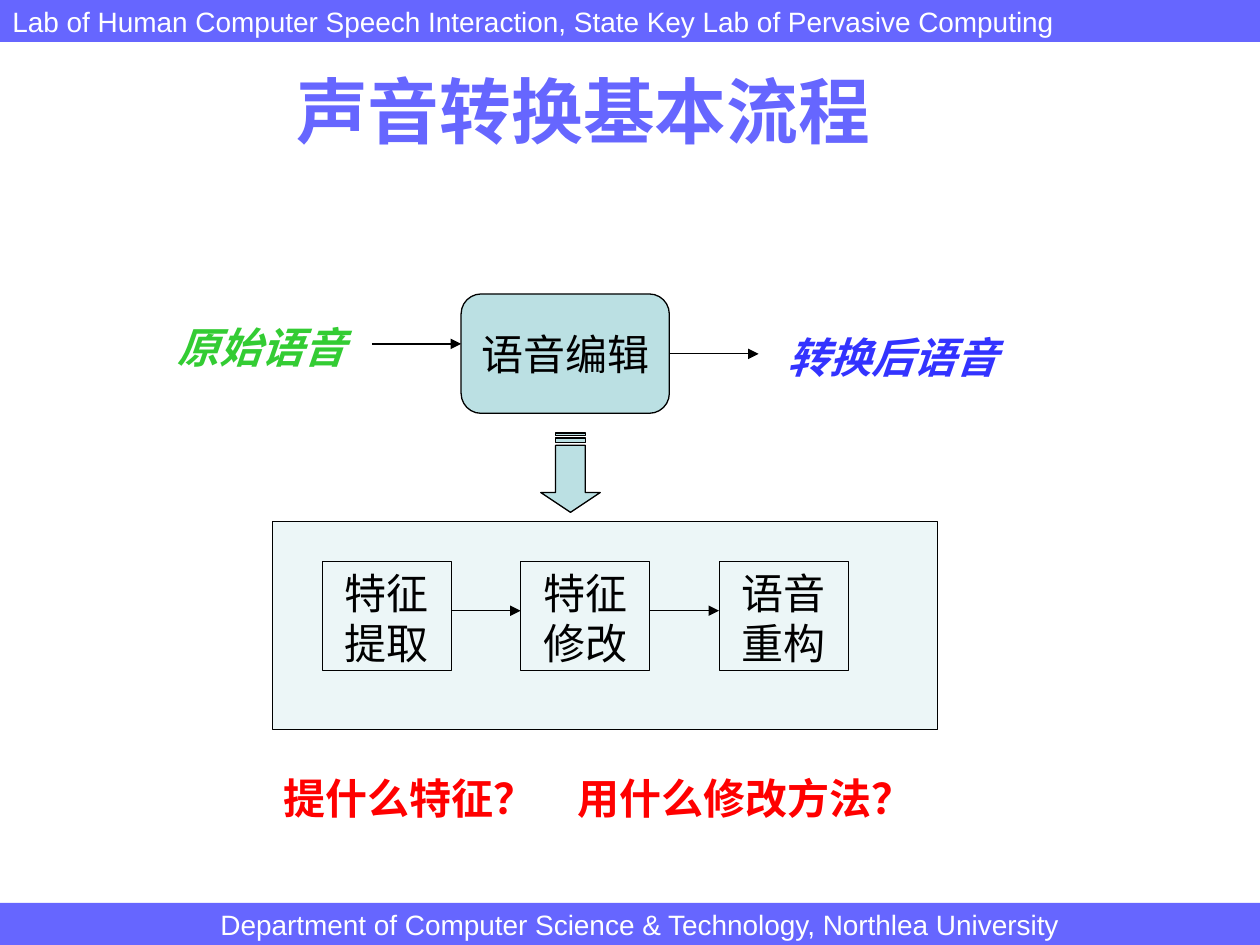
from lxml import etree
from pptx import Presentation
from pptx.dml.color import RGBColor
from pptx.enum.shapes import MSO_CONNECTOR, MSO_SHAPE
from pptx.enum.text import MSO_ANCHOR, MSO_AUTO_SIZE, PP_ALIGN
from pptx.oxml.ns import qn
from pptx.util import Pt

RECT, ROUNDED = MSO_SHAPE.RECTANGLE, MSO_SHAPE.ROUNDED_RECTANGLE
STRAIGHT = MSO_CONNECTOR.STRAIGHT
LEFT, CENTER = PP_ALIGN.LEFT, PP_ALIGN.CENTER
TOP, MIDDLE = MSO_ANCHOR.TOP, MSO_ANCHOR.MIDDLE
NO_FIT, GROW = MSO_AUTO_SIZE.NONE, MSO_AUTO_SIZE.SHAPE_TO_FIT_TEXT

COLORS = {
    "band": "6666FF", "white": "FFFFFF", "black": "000000", "teal": "BBE0E3",
    "source": "33CC33", "result": "3333FF", "question": "FF0000",
}
SLIDE_W, SLIDE_H, BAND_H = 720, 540, 24


def color(name):
    return RGBColor.from_string(COLORS[name])


def points(box):
    return [Pt(round(value, 2)) for value in box]


def write(shape, lines, size, tint, align=CENTER, anchor=TOP, font="Arial",
          bold=False, italic=False, before=0):
    frame = shape.text_frame
    frame.word_wrap = True
    frame.vertical_anchor = anchor
    for index, line in enumerate(lines):
        paragraph = frame.add_paragraph() if index else frame.paragraphs[0]
        paragraph.alignment = align
        paragraph.space_before = Pt(before)
        run = paragraph.add_run()
        run.text = line
        run.font.name = font
        run.font.size = Pt(size)
        run.font.bold = bold
        run.font.italic = italic
        run.font.color.rgb = color(tint)


def paint(shape, fill=None, line=None, width=0.75):
    shape.shadow.inherit = False
    if fill:
        shape.fill.solid()
        shape.fill.fore_color.rgb = color(fill)
    else:
        shape.fill.background()
    if line:
        shape.line.color.rgb = color(line)
        shape.line.width = Pt(width)
    else:
        shape.line.fill.background()


def add_arrow(shapes, x, y, length):
    arrow = shapes.add_connector(STRAIGHT, *points((x, y, x + length, y)))
    arrow.line.color.rgb = color("black")
    arrow.line.width = Pt(0.75)
    properties = arrow._element.spPr
    etree.SubElement(properties.find(qn("a:ln")), qn("a:tailEnd"), type="triangle")
    etree.SubElement(properties, qn("a:effectLst"))


def add_band(slide, box, text, indent):
    band = slide.shapes.add_shape(RECT, *points(box))
    paint(band, "band")
    band.text_frame.margin_left = Pt(indent)
    write(band, [text], 16, "white", LEFT, MIDDLE)


def add_title(slide, box, text):
    title = slide.shapes.title
    title.left, title.top, title.width, title.height = points(box)
    title.text_frame.auto_size = NO_FIT
    write(title, [text], 41, "band", LEFT, MIDDLE, bold=True)


def add_label(slide, box, text, tint, **style):
    label = slide.shapes.add_textbox(*points(box))
    write(label, [text], 24, tint, bold=True, **style)
    label.text_frame.auto_size = GROW


def add_editor(slide, box):
    x, y, width, height = box
    editor = slide.shapes.add_shape(ROUNDED, *points(box))
    paint(editor, "teal", "black")
    write(editor, ["语音编辑"], 24, "black", anchor=MIDDLE)
    editor.text_frame.word_wrap = False
    add_arrow(slide.shapes, x - 51, y + 28.5, 51)
    add_arrow(slide.shapes, x + width, y + 34.2, 51)


def add_striped_arrow(slide, box):
    x, y, width, height = box
    inner, outer, middle = x + width / 4, x + width * 3 / 4, x + width / 2
    step, neck = height / 32, y + height * 3 / 4
    head = [(x + width, neck), (outer, neck), (outer, y + 5 * step),
            (inner, y + 5 * step), (inner, neck), (x, neck), (middle, y + height)]
    stripes = [
        [(outer, y + a * step), (inner, y + a * step),
         (inner, y + b * step), (outer, y + b * step)]
        for a, b in ((2, 4), (0, 1))
    ]
    builder = slide.shapes.build_freeform(*points(head[0]))
    builder.add_line_segments([points(p) for p in head[1:]])
    for stripe in stripes:
        builder.move_to(*points(stripe[0]))
        builder.add_line_segments([points(p) for p in stripe[1:]])
    paint(builder.convert_to_shape(), "teal", "black")


def add_pipeline(slide, box, modules):
    x, y, width, height = box
    group = slide.shapes.add_group_shape().shapes
    panel = group.add_shape(RECT, *points(box))
    paint(panel, "teal", "black")
    fill_color = panel._element.spPr.find(qn("a:solidFill"))[0]
    etree.SubElement(fill_color, qn("a:alpha"), val="28000")
    module_w, module_h, pitch = 73.7, 62.6, 113.4
    for index, lines in enumerate(modules):
        left = x + 28.4 + index * pitch
        module = group.add_shape(RECT, *points((left, y + 22.7, module_w, module_h)))
        paint(module, line="black", width=0.25)
        write(module, lines, 24, "black")
        if index:
            gap = pitch - module_w
            add_arrow(group, left - gap, y + 51, gap)


def main():
    deck = Presentation()
    deck.slide_width, deck.slide_height = Pt(SLIDE_W), Pt(SLIDE_H)
    slide = deck.slides.add_slide(deck.slide_layouts[5])
    add_band(slide, (0, 0, SLIDE_W, BAND_H),
             "Lab of Human Computer Speech Interaction, "
             "State Key Lab of Pervasive Computing", 7.2)
    add_band(slide, (0, SLIDE_H - BAND_H, SLIDE_W, BAND_H),
             "Department of Computer Science & Technology, Northlea University", 126)
    add_title(slide, (162, 30, 540, 66), "声音转换基本流程")
    add_editor(slide, (263.5, 168, 119, 68.2))
    add_label(slide, (90, 180, 119, 36), "原始语音", "source", italic=True, before=15)
    add_label(slide, (438, 186, 144, 36), "转换后语音", "result", italic=True, before=15)
    add_pipeline(slide, (155.7, 298, 380, 119),
                 [["特征", "提取"], ["特征修改"], ["语音重构"]])
    add_striped_arrow(slide, (309, 247.4, 34, 45.4))
    add_label(slide, (150, 438, 144, 36), "提什么特征？", "question", font="Cabin")
    add_label(slide, (318, 438, 192, 36), "用什么修改方法？", "question", font="Cabin")
    deck.save("out.pptx")


if __name__ == "__main__":
    main()
